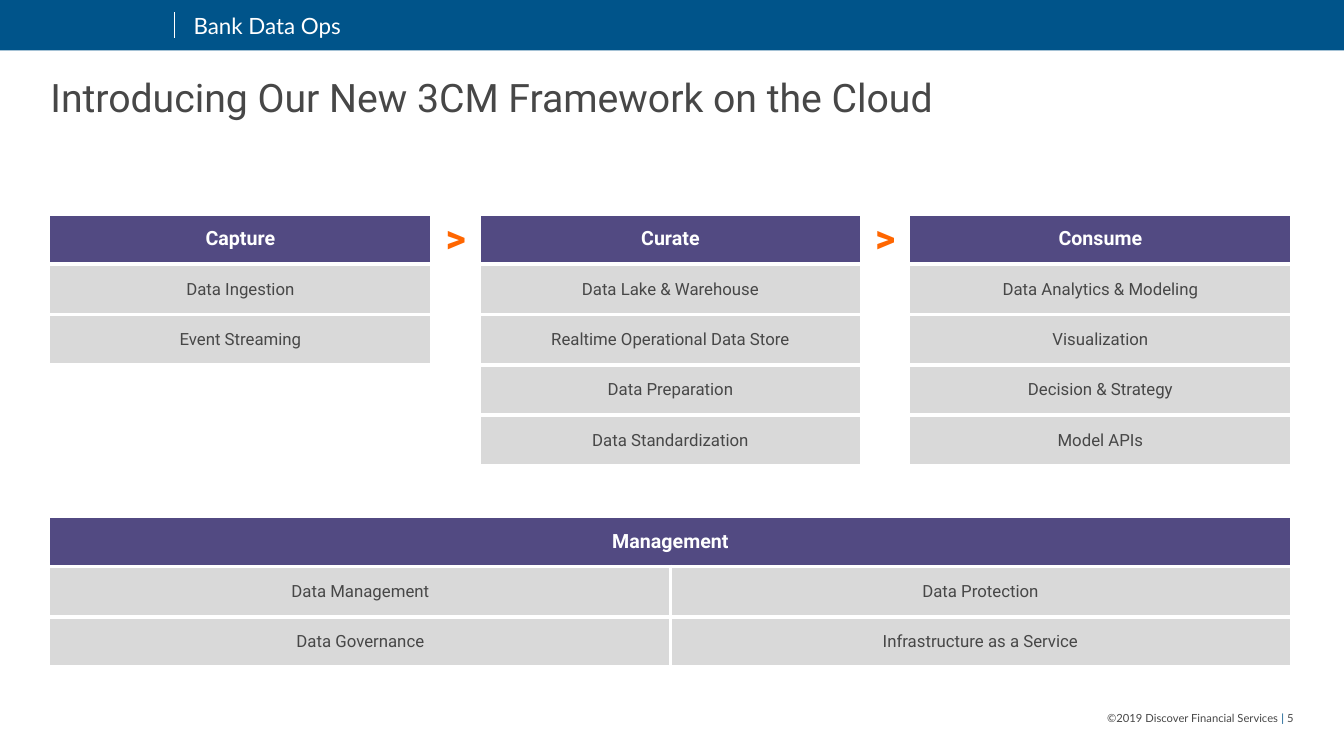
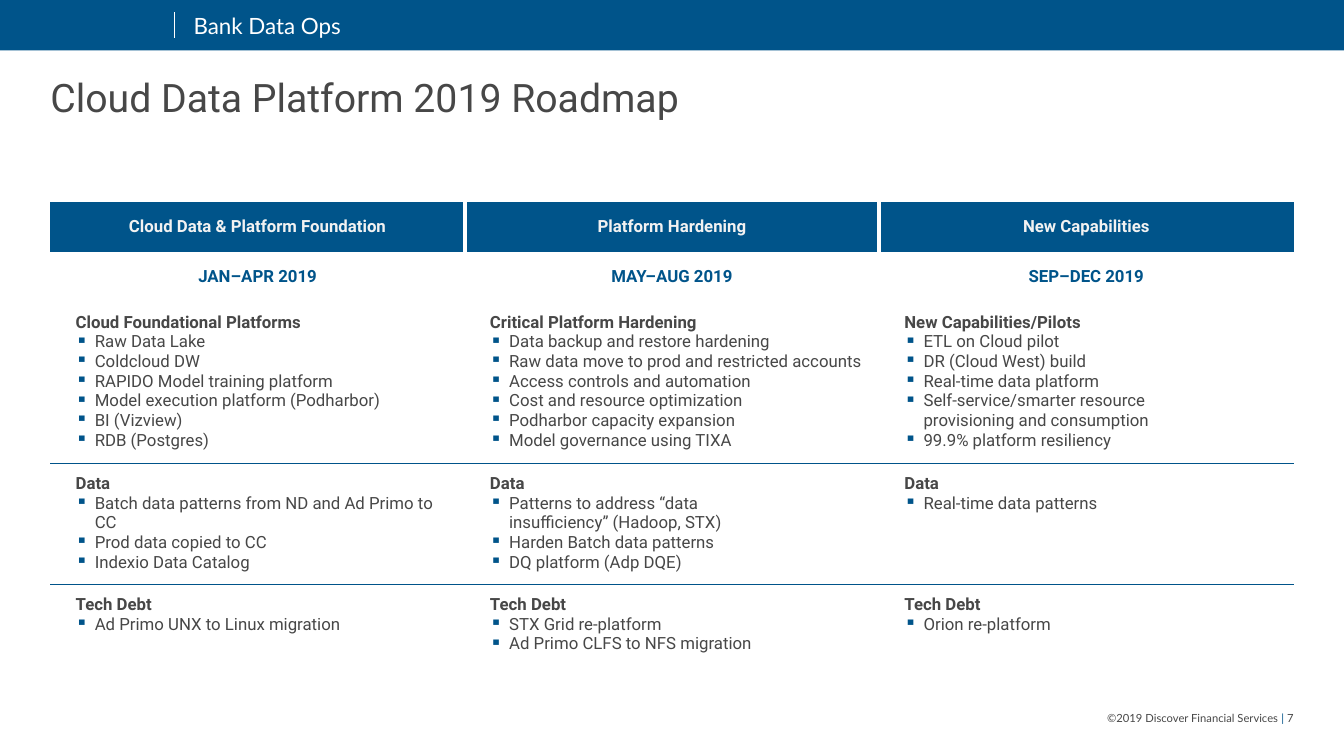
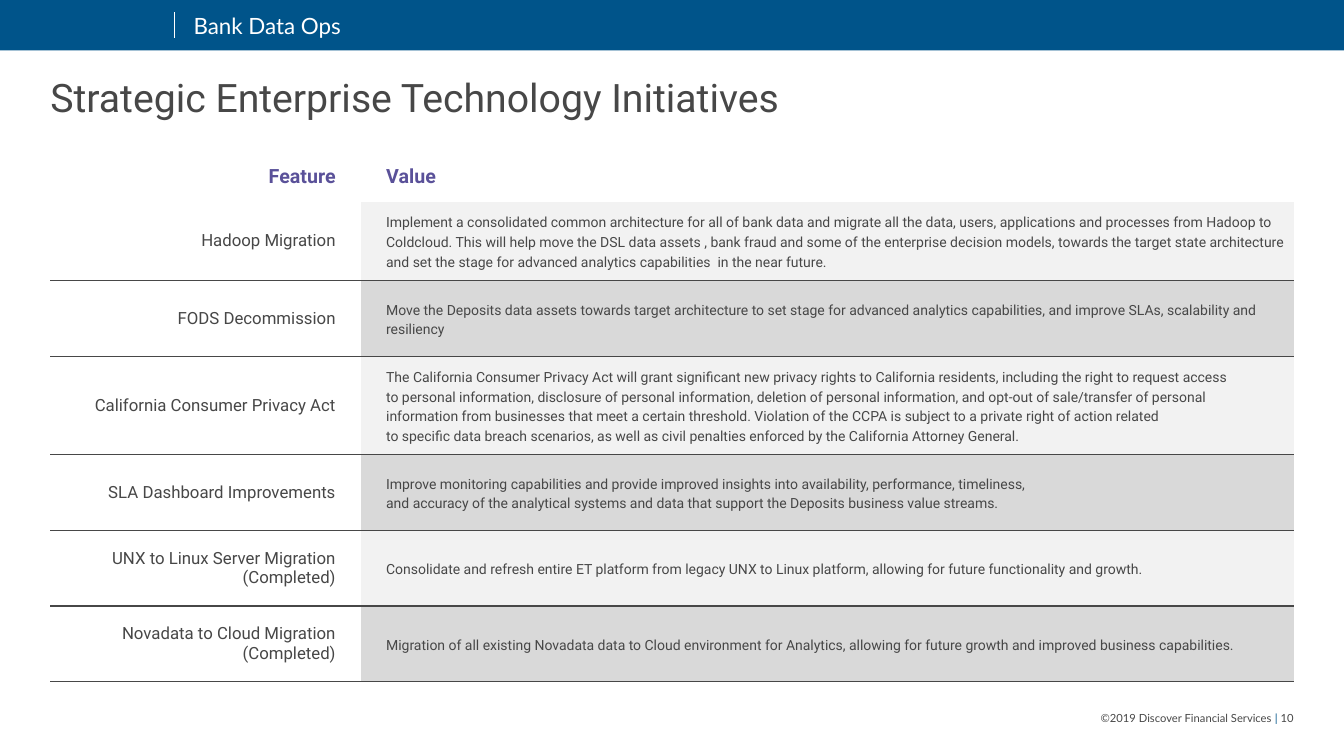
import collections

import pptx
import pptx.dml.color
import pptx.enum.shapes
import pptx.enum.text
import pptx.oxml
import pptx.oxml.ns
import pptx.util

Inches = pptx.util.Inches
Pt = pptx.util.Pt
Align = pptx.enum.text.PP_ALIGN
Anchor = pptx.enum.text.MSO_ANCHOR
Box = collections.namedtuple("Box", "left top width height")
TextStyle = collections.namedtuple("TextStyle", "size color bold font", defaults=(False, "Roboto"))

COLORS = {
    "blue": "00548A",
    "purple": "524A82",
    "violet": "5A5199",
    "orange": "FF6600",
    "ink": "474747",
    "gray": "D9D9D9",
    "pale": "F2F2F2",
    "white": "FFFFFF",
}

TITLE = TextStyle(28, "ink")
BAND = TextStyle(16, "white", font="Lato")
FOOTER = TextStyle(8, "ink", font="Lato")
FOOTER_BAR = TextStyle(8, "blue", font="Lato")
HEADING = TextStyle(14, "white", True)
ARROW = TextStyle(28, "orange", True)
BODY = TextStyle(12, "ink")
BODY_BOLD = TextStyle(12, "ink", True)
PHASE = TextStyle(12, "pale", True)
PERIOD = TextStyle(12, "blue", True)
COLUMN_HEAD = TextStyle(14, "violet", True)
DETAIL = TextStyle(10, "ink")

EVEN_MARGINS = (0.1, 0.1, 0.1, 0.1)
NO_MARGINS = (0, 0, 0, 0)
LEFT_PADDED = (0.25, 0.1, 0.1, 0.1)
RIGHT_PADDED = (0.1, 0.1, 0.25, 0.1)
PLAIN_TABLE_STYLE = "{2D5ABB26-0587-4C30-8999-92F81FD0307C}"

STAGES = [
    ("Capture", ["Data Ingestion", "Event Streaming"]),
    ("Curate", ["Data Lake & Warehouse", "Realtime Operational Data Store",
                "Data Preparation", "Data Standardization"]),
    ("Consume", ["Data Analytics & Modeling", "Visualization",
                 "Decision & Strategy", "Model APIs"]),
]
MANAGEMENT = [
    ("Data Management", "Data Protection"),
    ("Data Governance", "Infrastructure as a Service"),
]

PHASES = [
    ("Cloud Data & Platform Foundation", "JAN–APR 2019", [
        ("Cloud Foundational Platforms", [
            "Raw Data Lake", "Coldcloud DW", "RAPIDO Model training platform",
            "Model execution platform (Podharbor)", "BI (Vizview)", "RDB (Postgres)"]),
        ("Data", ["Batch data patterns from ND and Ad Primo to CC",
                  "Prod data copied to CC", "Indexio Data Catalog"]),
        ("Tech Debt", ["Ad Primo UNX to Linux migration"]),
    ]),
    ("Platform Hardening", "MAY–AUG 2019", [
        ("Critical Platform Hardening", [
            "Data backup and restore hardening",
            "Raw data move to prod and restricted accounts",
            "Access controls and automation", "Cost and resource optimization",
            "Podharbor capacity expansion", "Model governance using TIXA"]),
        ("Data", ["Patterns to address “data\ninsufficiency” (Hadoop, STX)",
                  "Harden Batch data patterns", "DQ platform (Adp DQE)"]),
        ("Tech Debt", ["STX Grid re-platform", "Ad Primo CLFS to NFS migration"]),
    ]),
    ("New Capabilities", "SEP–DEC 2019", [
        ("New Capabilities/Pilots", [
            "ETL on Cloud pilot", "DR (Cloud West) build", "Real-time data platform",
            "Self-service/smarter resource\nprovisioning and consumption",
            "99.9% platform resiliency"]),
        ("Data", ["Real-time data patterns"]),
        ("Tech Debt", ["Orion re-platform"]),
    ]),
]

INITIATIVES = [
    ("Hadoop Migration",
     "Implement a consolidated common architecture for all of bank data and migrate all the data, "
     "users, applications and processes from Hadoop to Coldcloud. This will help move the DSL data "
     "assets , bank fraud and some of the enterprise decision models, towards the target state "
     "architecture and set the stage for advanced analytics capabilities  in the near future."),
    ("FODS Decommission",
     "Move the Deposits data assets towards target architecture to set stage for advanced analytics "
     "capabilities, and improve SLAs, scalability and resiliency"),
    ("California Consumer Privacy Act",
     "The California Consumer Privacy Act will grant significant new privacy rights to California "
     "residents, including the right to request access\n"
     "to personal information, disclosure of personal information, deletion of personal information, "
     "and opt-out of sale/transfer of personal\n"
     "information from businesses that meet a certain threshold. Violation of the CCPA is subject to "
     "a private right of action related\n"
     "to specific data breach scenarios, as well as civil penalties enforced by the California "
     "Attorney General."),
    ("SLA Dashboard Improvements",
     "Improve monitoring capabilities and provide improved insights into availability, performance, "
     "timeliness,\n"
     "and accuracy of the analytical systems and data that support the Deposits business value streams."),
    ("UNX to Linux Server Migration (Completed)",
     "Consolidate and refresh entire ET platform from legacy UNX to Linux platform, allowing for "
     "future functionality and growth."),
    ("Novadata to Cloud Migration (Completed)",
     "Migration of all existing Novadata data to Cloud environment for Analytics, allowing for future "
     "growth and improved business capabilities."),
]


def rgb(name):
    return pptx.dml.color.RGBColor.from_string(COLORS[name])


def inches(values):
    return [Inches(value) for value in values]


def add_spans(para, text, style):
    """Write text into the paragraph, with a line break at each newline."""
    for index, line in enumerate(text.split("\n")):
        if index:
            para.add_line_break()
        span = para.add_run()
        span.text = line
        span.font.size = Pt(style.size)
        span.font.name = style.font
        span.font.bold = style.bold
        span.font.color.rgb = rgb(style.color)


def add_text_box(page, box, anchor=Anchor.MIDDLE, margin_left=0):
    """Add an empty wrapped text box and return its first paragraph."""
    frame = page.shapes.add_textbox(*inches(box)).text_frame
    frame.word_wrap = True
    frame.vertical_anchor = anchor
    frame.margin_left = Inches(margin_left)
    frame.margin_top = frame.margin_right = frame.margin_bottom = 0
    return frame.paragraphs[0]


def add_band(page, box):
    band = page.shapes.add_shape(pptx.enum.shapes.MSO_SHAPE.RECTANGLE, *inches(box))
    band.shadow.inherit = False
    band.fill.solid()
    band.fill.fore_color.rgb = rgb("blue")
    band.line.fill.background()

    rule_left = box.left + 1.73
    rule = page.shapes.add_connector(
        pptx.enum.shapes.MSO_CONNECTOR.STRAIGHT,
        *inches((rule_left, box.top + 0.12, rule_left, box.top + 0.38)))
    rule.line.color.rgb = rgb("white")
    rule.line.width = Pt(0.5)
    rule._element.spPr.append(pptx.oxml.parse_xml(
        f'<a:effectLst {pptx.oxml.ns.nsdecls("a")}/>'))

    label = Box(rule_left + 0.01, box.top + 0.12, 11.1, 0.27)
    add_spans(add_text_box(page, label, margin_left=0.18), "Bank Data Ops", BAND)


def add_footer(page, box, number):
    para = add_text_box(page, box)
    para.alignment = Align.RIGHT
    add_spans(para, "©2019 Discover Financial Services", FOOTER)
    add_spans(para, " | ", FOOTER_BAR)
    add_spans(para, str(number), FOOTER)


def add_page(deck, title, number):
    """Add a slide with the band, title and footer that every slide has."""
    page = deck.slides.add_slide(deck.slide_layouts[6])
    add_band(page, Box(0, 0, 13.33, 0.5))
    para = add_text_box(page, Box(0.5, 0.75, 12.33, 0.5), Anchor.TOP)
    para.line_spacing = Pt(32)
    add_spans(para, title, TITLE)
    add_footer(page, Box(10.33, 7.06, 2.5, 0.13), number)
    return page


def add_plain_table(page, box, widths, heights):
    """Add a table with white cells, no style and no borders."""
    table = page.shapes.add_table(len(heights), len(widths), *inches(box)).table
    table.first_row = table.horz_banding = False
    table._tbl.tblPr.find(pptx.oxml.ns.qn("a:tableStyleId")).text = PLAIN_TABLE_STYLE
    for column, width in zip(table.columns, widths):
        column.width = Inches(width)
    for row, height in zip(table.rows, heights):
        row.height = Inches(height)
    for cell in table.iter_cells():
        fill_cell(cell, "white")
    return table


def fill_cell(cell, color):
    cell.fill.solid()
    cell.fill.fore_color.rgb = rgb(color)


def format_cell(cell, margins, anchor=Anchor.MIDDLE):
    """Set margins and anchor, and return the first paragraph."""
    (cell.margin_left, cell.margin_top,
     cell.margin_right, cell.margin_bottom) = inches(margins)
    cell.vertical_anchor = anchor
    return cell.text_frame.paragraphs[0]


def write_cell(cell, text, style, fill="white", align=Align.CENTER, margins=EVEN_MARGINS):
    fill_cell(cell, fill)
    para = format_cell(cell, margins)
    para.alignment = align
    add_spans(para, text, style)
    return para


def set_borders(cell, sides, color, width):
    """Draw the given sides, a string of letters in the order L, R, T, B."""
    properties = cell._tc.get_or_add_tcPr()
    for position, side in enumerate(sides):
        properties.insert(position, pptx.oxml.parse_xml(
            f'<a:ln{side} {pptx.oxml.ns.nsdecls("a")} w="{Pt(width)}">'
            f'<a:solidFill><a:srgbClr val="{COLORS[color]}"/></a:solidFill></a:ln{side}>'))


def add_bullet(para):
    properties = para._p.get_or_add_pPr()
    properties.set("marL", str(Inches(0.19)))
    properties.set("indent", str(-Inches(0.19)))
    for content in (f'buClr {{}}><a:srgbClr val="{COLORS["blue"]}"/></a:buClr>',
                    'buChar {} char="▪"/>'):
        properties.append(pptx.oxml.parse_xml(
            "<a:" + content.format(pptx.oxml.ns.nsdecls("a"))))


def write_topic(cell, heading, items):
    add_spans(format_cell(cell, LEFT_PADDED, Anchor.TOP), heading, BODY_BOLD)
    for item in items:
        para = cell.text_frame.add_paragraph()
        add_bullet(para)
        add_spans(para, item, BODY)


def add_framework(page, box):
    rows = 9
    table = add_plain_table(page, box, (3.77, 0.5, 1.88, 1.88, 0.5, 3.77),
                            [box.height / rows] * rows)
    for row in range(5):
        table.cell(row, 2).merge(table.cell(row, 3))
    for row in (5, 6):
        table.cell(row, 0).merge(table.cell(row, 5))
    for row in (7, 8):
        for column in (0, 3):
            table.cell(row, column).merge(table.cell(row, column + 2))

    for column, (stage, items) in zip((0, 2, 5), STAGES):
        write_cell(table.cell(0, column), stage, HEADING, "purple")
        for row, item in enumerate(items, 1):
            write_cell(table.cell(row, column), item, BODY, "gray")
    for column in (1, 4):
        write_cell(table.cell(0, column), ">", ARROW, margins=NO_MARGINS)

    write_cell(table.cell(6, 0), "Management", HEADING, "purple")
    for row, pair in enumerate(MANAGEMENT, 7):
        for column, item in zip((0, 3), pair):
            write_cell(table.cell(row, column), item, BODY, "gray")

    for row in range(rows):
        for column in range(6):
            inner = {2: "R", 3: "L"}.get(column, "") if row > 6 else ""
            if row > 6 and column == 0:
                inner = "R"
            set_borders(table.cell(row, column), inner + "TB", "white", 3)


def add_roadmap(page, box):
    count = len(PHASES)
    table = add_plain_table(page, box, [box.width / count] * count,
                            (0.5, 0.5, 1.57, 1.17, 0.86))
    for column, (phase, period, topics) in enumerate(PHASES):
        head = table.cell(0, column)
        write_cell(head, phase, PHASE, "blue")
        set_borders(head, ("R", "LR", "L")[column], "white", 3)
        write_cell(table.cell(1, column), period, PERIOD)
        for row, (heading, items) in enumerate(topics):
            cell = table.cell(row + 2, column)
            write_topic(cell, heading, items)
            set_borders(cell, ("B", "TB", "T")[row], "blue", 0.5)


def add_initiatives(page, box):
    label_width = 3.08
    table = add_plain_table(page, box, (label_width, box.width - label_width),
                            (0.5, 0.78, 0.75, 0.97, 0.75, 0.75, 0.75))
    write_cell(table.cell(0, 0), "Feature", COLUMN_HEAD, align=Align.RIGHT, margins=RIGHT_PADDED)
    write_cell(table.cell(0, 1), "Value", COLUMN_HEAD, align=Align.LEFT, margins=LEFT_PADDED)
    for row, (feature, value) in enumerate(INITIATIVES, 1):
        write_cell(table.cell(row, 0), feature, BODY, align=Align.RIGHT, margins=RIGHT_PADDED)
        para = write_cell(table.cell(row, 1), value, DETAIL, "pale" if row % 2 else "gray",
                          Align.LEFT, LEFT_PADDED)
        para.line_spacing = Pt(14)
        for column in range(2):
            set_borders(table.cell(row, column), "B" if row == 1 else "TB", "ink", 1)


def main():
    deck = pptx.Presentation()
    deck.slide_width, deck.slide_height = inches((13.33, 7.5))
    add_framework(add_page(deck, "Introducing Our New 3CM Framework on the Cloud", 5),
                  Box(0.5, 2.12, 12.3, 4.5))
    add_roadmap(add_page(deck, "Cloud Data Platform 2019 Roadmap", 7),
                Box(0.5, 2, 12.33, 4.6))
    add_initiatives(add_page(deck, "Strategic Enterprise Technology Initiatives", 10),
                    Box(0.5, 1.5, 12.33, 5.25))
    deck.save("out.pptx")


if __name__ == "__main__":
    main()
